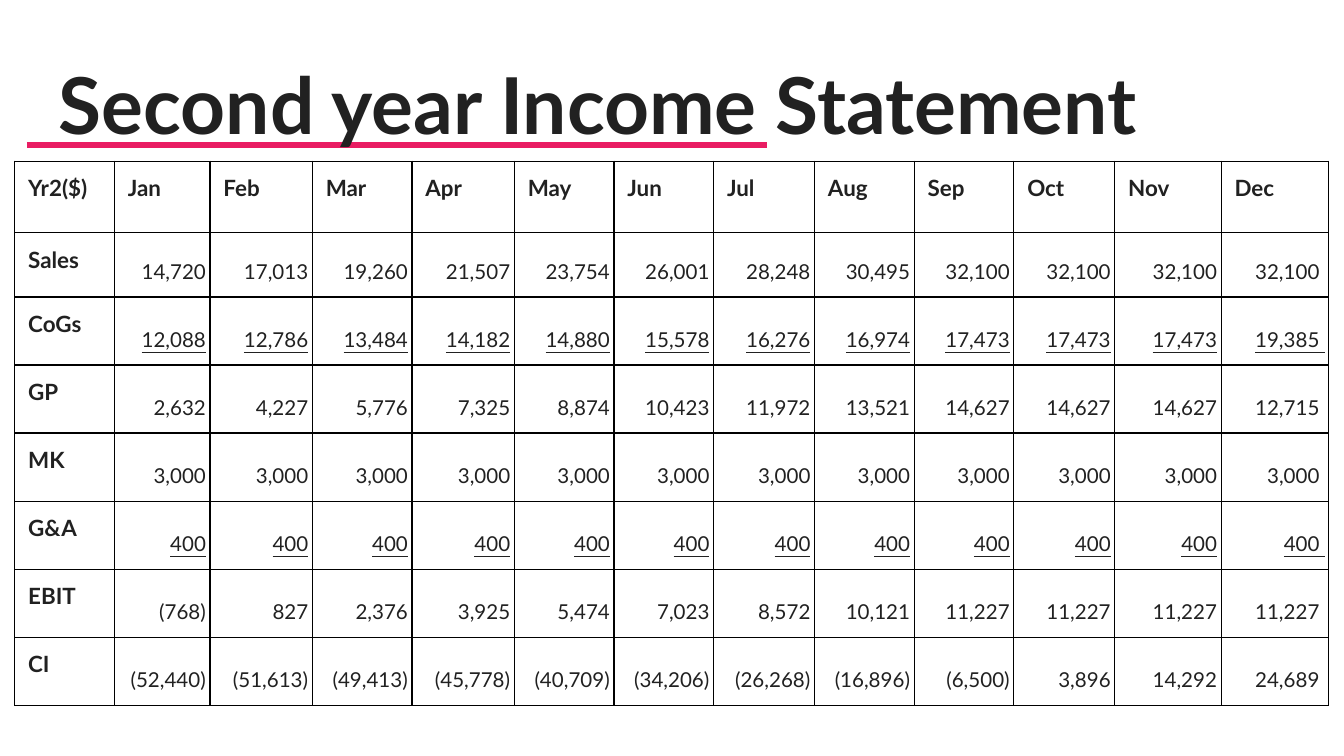
from dataclasses import dataclass

from lxml import etree
from pptx import Presentation
from pptx import util as u
from pptx.dml.color import RGBColor
from pptx.enum import shapes, text
from pptx.oxml import ns


@dataclass(frozen=True)
class Theme:
    font: str = "Lato"
    ink: str = "212121"
    accent: str = "E91D63"
    border: str = "000000"
    title_size: float = 42
    label_size: float = 12
    number_size: float = 11
    rule_width: float = 3
    border_width: float = 0.75


THEME = Theme()

MONTHS = "Jan Feb Mar Apr May Jun Jul Aug Sep Oct Nov Dec".split()
STATEMENT = {
    "Sales": "14,720 17,013 19,260 21,507 23,754 26,001 28,248 30,495 32,100 32,100 32,100 32,100".split(),
    "CoGs": "12,088 12,786 13,484 14,182 14,880 15,578 16,276 16,974 17,473 17,473 17,473 19,385".split(),
    "GP": "2,632 4,227 5,776 7,325 8,874 10,423 11,972 13,521 14,627 14,627 14,627 12,715".split(),
    "MK": ["3,000"] * 12,
    "G&A": ["400"] * 12,
    "EBIT": "(768) 827 2,376 3,925 5,474 7,023 8,572 10,121 11,227 11,227 11,227 11,227".split(),
    "CI": ("(52,440) (51,613) (49,413) (45,778) (40,709) (34,206) "
           "(26,268) (16,896) (6,500) 3,896 14,292 24,689").split(),
}
UNDERLINED = {"CoGs", "G&A"}  # the rows just above a subtotal

# Relative sizes, scaled to the full table width and height
COLUMN_SHARES = [0.74, 0.71, 0.76, 0.74, 0.76, 0.74, 0.74,
                 0.75, 0.74, 0.74, 0.75, 0.79, 0.8]
TOP_ROWS = [0.53, 0.48]  # header and sales; the other rows share the rest

LABEL_CELL = {"margin_left": u.Inches(0.1), "margin_right": u.Inches(0.1),
              "margin_top": u.Inches(0.1), "margin_bottom": u.Inches(0.1),
              "vertical_anchor": text.MSO_ANCHOR.TOP}
NUMBER_CELL = {**LABEL_CELL, "margin_left": u.Inches(0.03),
               "margin_right": u.Inches(0.03),
               "vertical_anchor": text.MSO_ANCHOR.BOTTOM}
LABEL_PARAGRAPH = {"alignment": text.PP_ALIGN.LEFT}
NUMBER_PARAGRAPH = {"alignment": text.PP_ALIGN.RIGHT, "line_spacing": 1.15}


def set_attributes(target, values):
    for name, value in values.items():
        setattr(target, name, value)


def write(paragraph, content, size, bold=False, underline=False):
    run = paragraph.add_run()
    run.text = content
    set_attributes(run.font, {"name": THEME.font, "size": u.Pt(size),
                              "bold": bold, "underline": underline})
    run.font.color.rgb = RGBColor.from_string(THEME.ink)


def add_rule(slide, left, top, right):
    rule = slide.shapes.add_connector(
        shapes.MSO_CONNECTOR.STRAIGHT,
        u.Inches(left), u.Inches(top), u.Inches(right), u.Inches(top))
    rule.line.color.rgb = RGBColor.from_string(THEME.accent)
    rule.line.width = u.Pt(THEME.rule_width)
    etree.SubElement(rule._element.spPr, ns.qn("a:effectLst"))


def add_title(slide, content, left, top, width, height):
    box = slide.shapes.add_textbox(
        u.Inches(left), u.Inches(top), u.Inches(width), u.Inches(height))
    frame = box.text_frame
    set_attributes(frame, {**LABEL_CELL, "word_wrap": True})
    write(frame.paragraphs[0], content, THEME.title_size, bold=True)


def add_borders(cell):
    properties = cell._tc.get_or_add_tcPr()
    for side in ("lnL", "lnR", "lnT", "lnB"):
        line = etree.SubElement(properties, ns.qn(f"a:{side}"),
                                w=str(u.Pt(THEME.border_width)))
        fill = etree.SubElement(line, ns.qn("a:solidFill"))
        etree.SubElement(fill, ns.qn("a:srgbClr"), val=THEME.border)


def fill_cell(cell, content, is_label, underline=False):
    add_borders(cell)
    cell.fill.background()
    set_attributes(cell, LABEL_CELL if is_label else NUMBER_CELL)
    paragraph = cell.text_frame.paragraphs[0]
    set_attributes(paragraph, LABEL_PARAGRAPH if is_label else NUMBER_PARAGRAPH)
    size = THEME.label_size if is_label else THEME.number_size
    write(paragraph, content, size, bold=is_label, underline=underline)


def add_statement(slide, left, top, width, height):
    row_count = len(STATEMENT) + 1
    table = slide.shapes.add_table(
        row_count, len(COLUMN_SHARES), u.Inches(left), u.Inches(top),
        u.Inches(width), u.Inches(height)).table
    set_attributes(table, {"first_row": False, "horz_banding": False})
    for column, share in zip(table.columns, COLUMN_SHARES):
        column.width = u.Inches(width * share / sum(COLUMN_SHARES))
    lower_count = row_count - len(TOP_ROWS)
    lower_height = (height - sum(TOP_ROWS)) / lower_count
    for row, row_height in zip(table.rows, TOP_ROWS + [lower_height] * lower_count):
        row.height = u.Inches(row_height)

    # Header row
    for column, heading in enumerate(["Yr2($)", *MONTHS]):
        fill_cell(table.cell(0, column), heading, is_label=True)

    # One row per item; December figures end in a space
    for row, (label, figures) in enumerate(STATEMENT.items(), start=1):
        fill_cell(table.cell(row, 0), label, is_label=True)
        *earlier, december = figures
        for column, figure in enumerate([*earlier, december + " "], start=1):
            fill_cell(table.cell(row, column), figure, is_label=False,
                      underline=label in UNDERLINED)


def main():
    presentation = Presentation()
    presentation.slide_width = u.Inches(10)
    presentation.slide_height = u.Inches(10 * 9 / 16)
    slide = presentation.slides.add_slide(presentation.slide_layouts[6])

    # Title over its accent rule
    add_rule(slide, 0.2, 1.08, 5.71)
    add_title(slide, "Second year Income Statement", 0.34, 0.32, 9.32, 0.88)

    # Monthly figures
    add_statement(slide, 0.11, 1.2, 9.78, 4.05)

    presentation.save("out.pptx")


if __name__ == "__main__":
    main()
